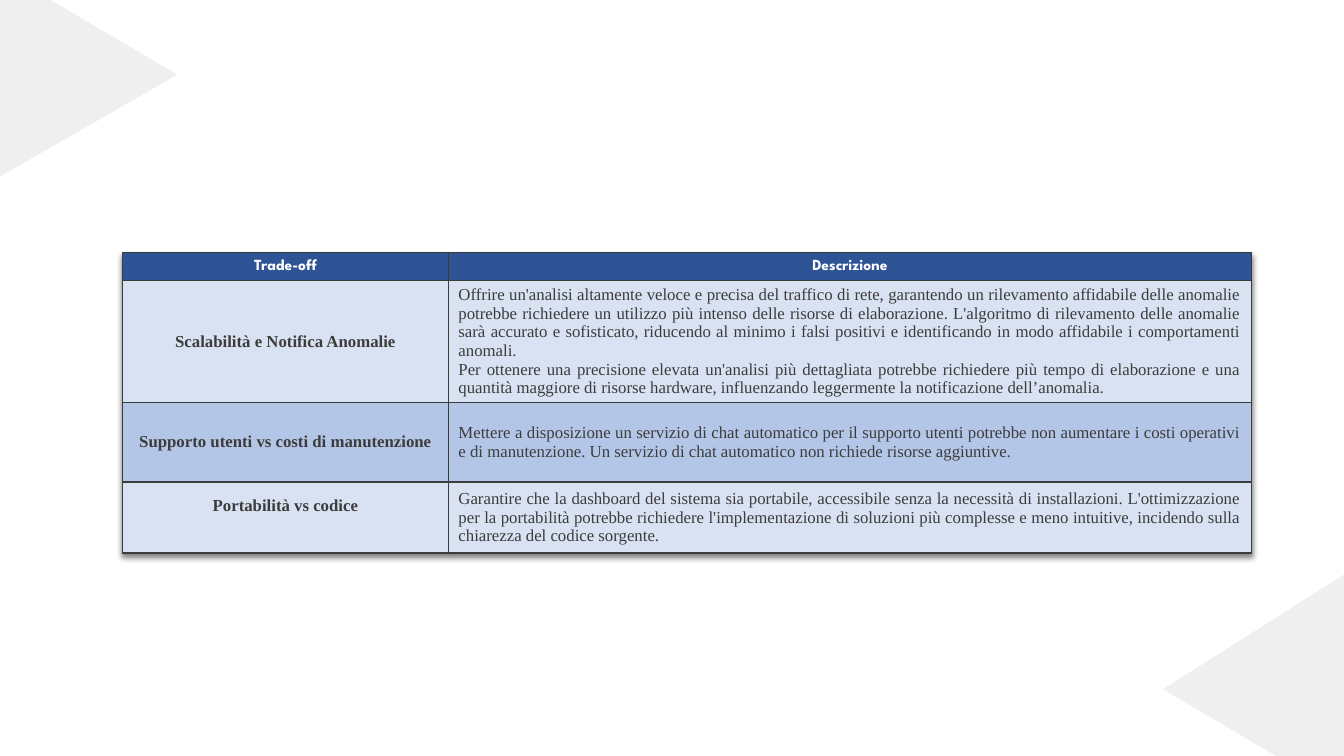
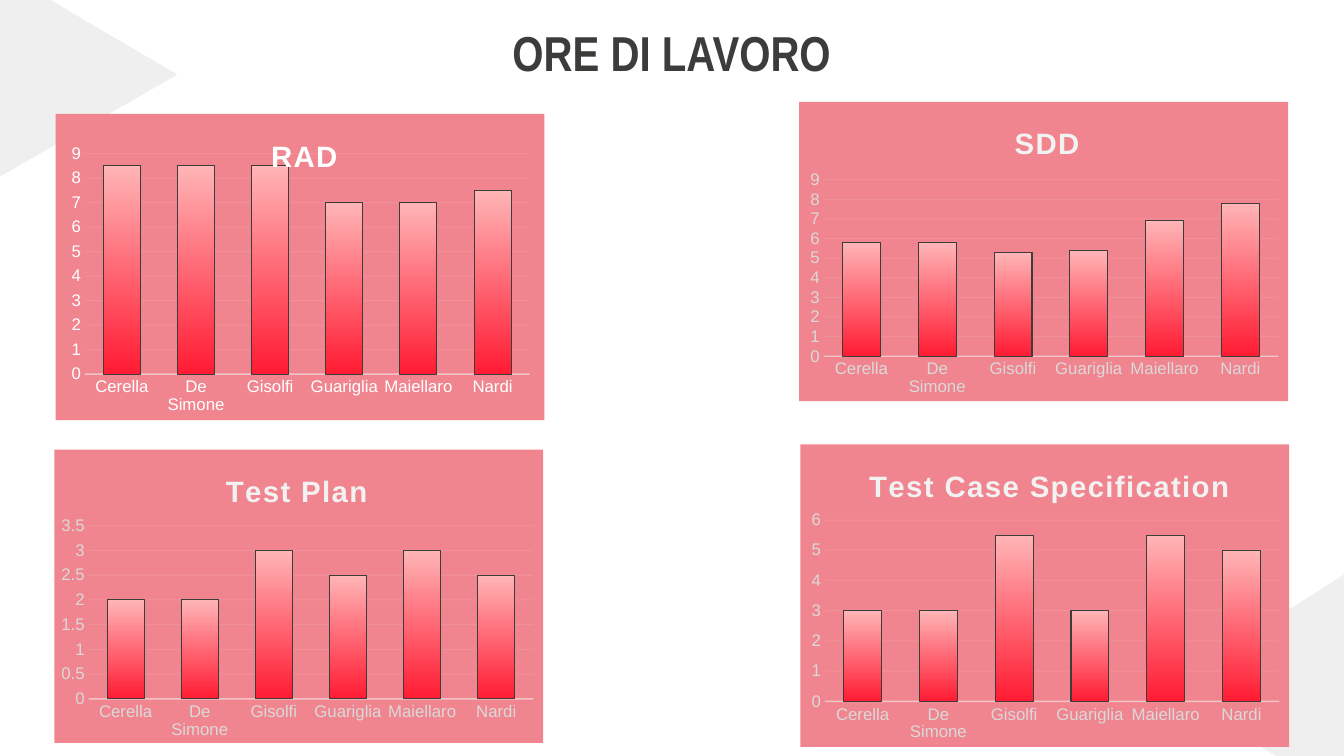
"""Build two slides: a table of trade-offs and four charts of working hours."""
import pptx
import pptx.chart.data
import pptx.dml.color
import pptx.enum.chart
import pptx.enum.text
import pptx.oxml
import pptx.oxml.ns
import pptx.util

Cm = pptx.util.Cm
Pt = pptx.util.Pt
qn = pptx.oxml.ns.qn
ALIGN = pptx.enum.text.PP_ALIGN
MIDDLE = pptx.enum.text.MSO_ANCHOR.MIDDLE

COLORS = {
    "ink": "3C3C3B", "white": "FFFFFF", "corner": "878787",
    "head": "2F5496", "pale": "D9E2F3", "deep": "B4C6E7",
    "panel": "F1858F", "red": "FF1C33", "rose": "FFB4B6",
    "mist": "F2F2F2", "label": "D9D9D9",
}
CORNERS = [
    [(0, 4.45), (4.47, 1.88), (1.27, 0), (0, 0)],
    [(32.16, 19.05), (29.31, 17.37), (33.87, 14.48), (33.87, 19.05)],
]
HEADS = ["Trade-off", "Descrizione"]
ROWS = [
    ("Scalabilità e Notifica Anomalie", [
        "Offrire un'analisi altamente veloce e precisa del traffico di rete, garantendo un "
        "rilevamento affidabile delle anomalie potrebbe richiedere un utilizzo più intenso delle "
        "risorse di elaborazione. L'algoritmo di rilevamento delle anomalie sarà accurato e "
        "sofisticato, riducendo al minimo i falsi positivi e identificando in modo affidabile i "
        "comportamenti anomali.",
        "Per ottenere una precisione elevata un'analisi più dettagliata potrebbe richiedere più "
        "tempo di elaborazione e una quantità maggiore di risorse hardware, influenzando "
        "leggermente la notificazione dell’anomalia."]),
    ("Supporto utenti vs costi di manutenzione", [
        "Mettere a disposizione un servizio di chat automatico per il supporto utenti potrebbe "
        "non aumentare i costi operativi e di manutenzione. Un servizio di chat automatico non "
        "richiede risorse aggiuntive."]),
    ("Portabilità vs codice", [
        "Garantire che la dashboard del sistema sia portabile, accessibile senza la necessità di "
        "installazioni. L'ottimizzazione per la portabilità potrebbe richiedere "
        "l'implementazione di soluzioni più complesse e meno intuitive, incidendo sulla "
        "chiarezza del codice sorgente."]),
]
WIDTHS = [8.21, 20.24]
HEIGHTS = [0.71, 3.07, 2, 1.79]
PEOPLE = ["Cerella", "De Simone", "Gisolfi", "Guariglia", "Maiellaro", "Nardi"]
CHARTS = [
    dict(name="RAD", hours=[8.5, 8.5, 8.5, 7, 7, 7.5], box=(1.4, 2.87, 12.32, 7.72),
         top=9, step=1, left=0.43, plot=(0.06, 0.13, 0.91, 0.72),
         title="white", label="white"),
    dict(name="SDD", hours=[5.8, 5.8, 5.3, 5.4, 6.9, 7.8], box=(20.14, 2.57, 12.32, 7.54),
         top=9, step=1, left=0.43, plot=(0.05, 0.26, 0.93, 0.59)),
    dict(name="Test Plan", hours=[2, 2, 3, 2.5, 3, 2.5], box=(1.37, 11.33, 12.32, 7.39),
         top=3.5, step=0.5, left=0.34, plot=(0.07, 0.26, 0.91, 0.59)),
    dict(name="Test Case Specification", hours=[3, 3, 5.5, 3, 5.5, 5],
         box=(20.17, 11.2, 12.32, 7.62),
         top=6, step=1, left=0.13, plot=(0.05, 0.25, 0.93, 0.6)),
]


def rgb(name):
    """Return the named colour."""
    return pptx.dml.color.RGBColor.from_string(COLORS[name])


def xml(tag, body):
    """Return an element with the drawing and chart namespaces."""
    kind = tag.split()[0]
    spaces = pptx.oxml.ns.nsdecls("a", "c")
    return pptx.oxml.parse_xml(f"<{tag} {spaces}>{body}</{kind}>")


def fade(node, share):
    """Make the colours under a node partly opaque."""
    for color in node.iter(qn("a:srgbClr")):
        color.append(xml(f'a:alpha val="{share * 1000}"', ""))


def style(font, face, size, color, bold=False):
    """Set the look of a font."""
    font.name, font.size, font.bold = face, Pt(size), bold
    font.color.rgb = rgb(color)


def write(frame, lines, align, *look):
    """Write paragraphs of one look into a text frame."""
    frame.text = "\n".join(lines)
    for para in frame.paragraphs:
        para.alignment = align
        style(para.font, *look)


def add_page(deck):
    """Add a blank slide with its two pale corners."""
    slide = deck.slides.add_slide(deck.slide_layouts[6])
    for points in CORNERS:
        spots = [(Cm(x), Cm(y)) for x, y in points]
        pen = slide.shapes.build_freeform(*spots[0])
        pen.add_line_segments(spots[1:])
        shape = pen.convert_to_shape()
        shape.shadow.inherit = False
        shape.fill.solid()
        shape.fill.fore_color.rgb = rgb("corner")
        fade(shape.fill.fore_color and shape.element.spPr, 13)
        shape.line.fill.background()
    return slide


def add_title(slide, text):
    """Add the slide title."""
    frame = slide.shapes.add_textbox(Cm(2.67), Cm(0.25), Cm(28.52), Cm(2.13)).text_frame
    frame.word_wrap = True
    frame.vertical_anchor = MIDDLE
    write(frame, [text], ALIGN.CENTER, "Arial Narrow", 35, "ink", True)


def fill_cell(cell, color, lines, align, *look):
    """Give a cell its borders, fill and text."""
    props = cell._tc.get_or_add_tcPr()
    for side in "LRTB":
        props.append(xml(f'a:ln{side} w="12700"',
                         f'<a:solidFill><a:srgbClr val="{COLORS["ink"]}"/></a:solidFill>'))
    cell.fill.solid()
    cell.fill.fore_color.rgb = rgb(color)
    cell.vertical_anchor = MIDDLE
    write(cell.text_frame, lines, align, *look)


def add_grid(slide):
    """Add the table of trade-offs with its soft shadow."""
    frame = slide.shapes.add_table(len(HEIGHTS), len(WIDTHS), Cm(3.09), Cm(6.36),
                                   Cm(sum(WIDTHS)), Cm(sum(HEIGHTS)))
    grid = frame.table
    for col, width in zip(grid.columns, WIDTHS):
        col.width = Cm(width)
    for row, height in zip(grid.rows, HEIGHTS):
        row.height = Cm(height)
    grid._tbl.tblPr.insert(0, xml(
        "a:effectLst",
        '<a:outerShdw blurRad="50800" dist="38100" dir="5400000">'
        '<a:srgbClr val="000000"><a:alpha val="50000"/></a:srgbClr></a:outerShdw>'))
    for col, text in enumerate(HEADS):
        fill_cell(grid.cell(0, col), "head", [text], ALIGN.CENTER,
                  "League Spartan", 11, "white", True)
    for row, (name, lines) in enumerate(ROWS, 1):
        color = "pale" if row % 2 else "deep"
        fill_cell(grid.cell(row, 0), color, [name], ALIGN.CENTER,
                  "Times New Roman", 12, "ink", True)
        fill_cell(grid.cell(row, 1), color, lines, ALIGN.JUSTIFY,
                  "Times New Roman", 12, "ink")
    grid.cell(len(ROWS), 0).margin_bottom = Cm(0.73)


def place(home, index, target="", **sizes):
    """Fix the position of a chart part as shares of the chart."""
    old = home.find(qn("c:layout"))
    if old is not None:
        home.remove(old)
    modes = "".join(f'<c:{key}Mode val="edge"/>' for key in "xy")
    parts = "".join(f'<c:{key} val="{size}"/>' for key, size in sizes.items())
    home.insert(index, xml("c:layout",
                           f"<c:manualLayout>{target}{modes}{parts}</c:manualLayout>"))


def set_line(line, color, width):
    """Set the colour and width of a line."""
    line.color.rgb = rgb(color)
    line.width = Pt(width)


def style_axes(chart, top, step, label):
    """Set scale, lines and labels of both axes."""
    for axis in (chart.category_axis, chart.value_axis):
        axis.major_tick_mark = pptx.enum.chart.XL_TICK_MARK.NONE
        axis.minor_tick_mark = pptx.enum.chart.XL_TICK_MARK.NONE
        style(axis.tick_labels.font, "Arial", 12, label)
    scale = chart.value_axis
    scale.minimum_scale, scale.maximum_scale, scale.major_unit = 0, top, step
    scale.has_major_gridlines = True
    scale.format.line.fill.background()
    set_line(scale.major_gridlines.format.line, "mist", 0.75)
    set_line(chart.category_axis.format.line, "mist", 1)
    root = chart.element
    fade(next(root.iter(qn("c:majorGridlines"))), 10)
    fade(next(root.iter(qn("c:catAx"))).find(qn("c:spPr")), 54)


def add_bars(slide, name, hours, box, top, step, left, plot, title="mist", label="label"):
    """Add a column chart of the hours of each person."""
    data = pptx.chart.data.CategoryChartData()
    data.categories = PEOPLE
    data.add_series("Series 1", hours)
    chart = slide.shapes.add_chart(pptx.enum.chart.XL_CHART_TYPE.COLUMN_CLUSTERED,
                                   *map(Cm, box), data).chart
    style(chart.font, "Arial", 10, "ink")
    chart.has_legend = False
    chart.has_title = True
    write(chart.chart_title.text_frame, [name], ALIGN.CENTER, "Arial", 21, title, True)
    root = chart.element
    root.find(qn("c:chart")).addnext(xml(
        "c:spPr", f'<a:solidFill><a:srgbClr val="{COLORS["panel"]}"/></a:solidFill>'
        "<a:ln><a:noFill/></a:ln>"))
    head = next(root.iter(qn("c:title")))
    for font in head.iter(qn("a:defRPr")):
        font.set("spc", "100")
    place(head, 1, x=left, y=0.06)
    place(next(root.iter(qn("c:plotArea"))), 0, '<c:layoutTarget val="inner"/>',
          **dict(zip("xywh", plot)))
    style_axes(chart, top, step, label)
    bars = chart.plots[0]
    bars.gap_width, bars.overlap, bars.vary_by_categories = 100, -24, False
    look = bars.series[0].format
    look.fill.gradient()
    look.fill.gradient_angle = 90
    for stop, color in zip(look.fill.gradient_stops, ("red", "rose")):
        stop.color.rgb = rgb(color)
    set_line(look.line, "ink", 0.75)


def main():
    """Build and save the deck."""
    deck = pptx.Presentation()
    deck.slide_width, deck.slide_height = Cm(33.87), Cm(19.05)
    add_grid(add_page(deck))
    slide = add_page(deck)
    for chart in CHARTS:
        add_bars(slide, **chart)
    add_title(slide, "ORE DI LAVORO")
    deck.save("out.pptx")


if __name__ == "__main__":
    main()
